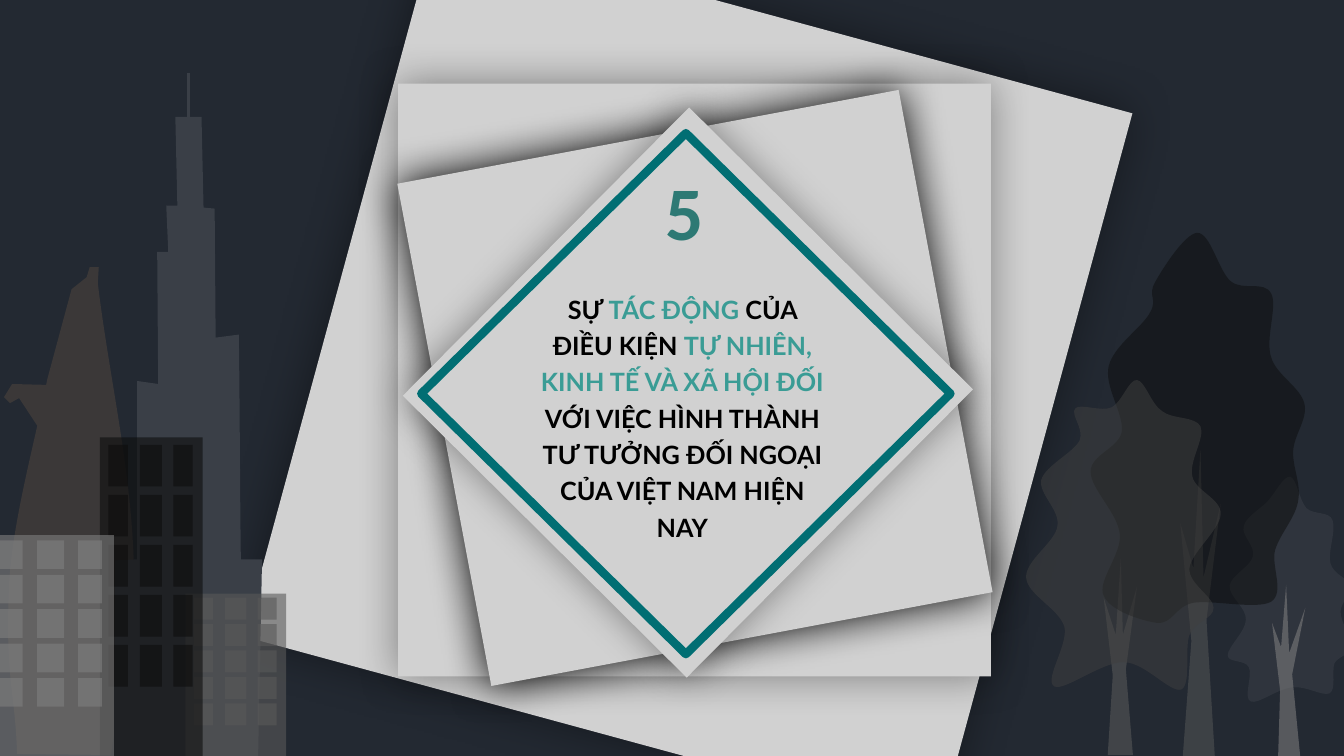
"""Build the title slide of section 5: stacked square panels between a skyline and trees."""
from dataclasses import dataclass

from lxml import etree
from pptx import Presentation
from pptx import util as u
from pptx.dml.color import RGBColor
from pptx.enum import shapes, text
from pptx.oxml.ns import qn


@dataclass(frozen=True)
class Theme:
    """Colours, fonts and type sizes of the slide."""
    night: str = "232932"
    panel: str = "D1D1D1"
    shadow: str = "000000"
    frame: str = "016E73"
    ink: str = "000000"
    accent: str = "3A9C95"
    numeral: str = "2D7974"
    bronze: str = "3B3838"
    slate: str = "3A3F47"
    black: str = "0D0D0D"
    charcoal: str = "404040"
    dim: str = "595959"
    trunk: str = "5C5C5C"
    grey: str = "7F7F7F"
    body_font: str = "Lato"
    number_font: str = "Calibri"
    body_size: int = 18
    number_size: int = 54


THEME = Theme()
OUTLINE_UNIT = u.Pt(0.72)
WINDOW_COLUMNS = ((0.085, 0.19), (0.39, 0.215), (0.715, 0.19))
WINDOW_ROWS = 5
WINDOW_TOP, WINDOW_STEP, WINDOW_HEIGHT = 0.023, 0.156, 0.13

LOTUS_TOWER = """M 9 581 C 5 675 15 685 17 748 L 110 749 C 118 692 134 635 133 578
C 133 476 109 380 97 281 L 98 265 L 89 265 L 86 275 L 71 287 L 47 376 C 35 437 12 518 9 581"""
HELIPAD = "M 50 382 L 12 381 L 4 394 L 10 400 L 19 395 L 40 427 L 50 382"
SKYSCRAPER = """M 260 555 L 256 756 L 113 756 L 114 556 L 136 555 L 136 378 L 157 381 L 156 250
L 167 250 L 165 204 L 176 204 L 174 116 L 200 116 L 202 206 L 213 207 L 214 335 L 237 332
C 238 406 238 481 239 555 L 260 555"""
LEFT_TRUNK = """M 1124 749 L 1117 664 L 1128 582 L 1114 630 L 1112 554 L 1107 630 L 1095 593
L 1104 670 L 1099 749 L 1124 749"""
RIGHT_CROWN = """M 1282 682 C 1295 680 1312 691 1319 688 C 1326 684 1321 666 1324 658
C 1328 651 1339 650 1340 642 C 1341 633 1330 617 1330 607 C 1330 597 1342 589 1340 581
C 1338 574 1323 570 1320 559 C 1317 548 1326 526 1322 516 C 1319 507 1303 511 1296 504
C 1289 496 1286 474 1280 473 C 1273 472 1265 490 1257 498 C 1249 506 1236 513 1234 522
C 1231 531 1246 542 1243 552 C 1241 562 1221 571 1220 581 C 1219 592 1237 603 1236 615
C 1236 626 1218 642 1218 650 C 1218 658 1235 654 1239 662 C 1243 670 1233 693 1241 696
C 1248 699 1268 683 1282 682"""
RIGHT_TRUNK = """M 1290 751 L 1282 669 L 1295 603 L 1279 648 L 1276 580 L 1271 642 L 1262 618
L 1270 685 L 1268 752 L 1290 751"""
TALL_TRUNK = """M 1206 763 L 1197 615 L 1211 500 L 1194 573 L 1191 446 L 1184 564 L 1171 519
L 1182 636 L 1173 757 L 1206 763"""
TALL_CROWN = """M 1184 598 C 1203 595 1247 605 1261 597 C 1275 588 1261 562 1265 546
C 1270 529 1286 513 1288 496 C 1291 480 1282 463 1283 447 C 1284 431 1298 415 1294 400
C 1290 384 1266 372 1261 354 C 1255 336 1268 303 1261 291 C 1254 278 1233 289 1221 279
C 1209 269 1201 231 1188 231 C 1176 231 1153 267 1146 280 C 1138 294 1149 296 1141 310
C 1134 324 1105 343 1100 363 C 1095 383 1115 410 1113 428 C 1110 445 1082 451 1082 468
C 1082 485 1109 509 1111 530 C 1113 550 1088 577 1095 591 C 1101 606 1133 616 1148 618
C 1164 619 1165 602 1184 598"""
LEFT_CROWN = """M 1115 657 C 1136 657 1161 688 1172 684 C 1182 679 1175 643 1180 630
C 1186 616 1204 614 1204 603 C 1204 592 1179 579 1180 564 C 1181 549 1211 525 1211 510
C 1212 495 1186 487 1183 473 C 1179 458 1196 434 1191 423 C 1186 413 1163 416 1153 408
C 1142 401 1136 378 1128 377 C 1120 376 1113 399 1103 404 C 1093 409 1072 400 1067 405
C 1061 411 1076 425 1071 437 C 1065 449 1037 462 1033 476 C 1030 490 1052 506 1049 522
C 1047 538 1017 556 1018 573 C 1019 590 1051 604 1056 622 C 1060 640 1035 675 1046 681
C 1056 686 1094 656 1115 657"""


def paint(shape, color, opacity=100):
    """Give a shape a plain fill with no line and no shadow."""
    shape.shadow.inherit = False
    shape.line.fill.background()
    shape.fill.solid()
    shape.fill.fore_color.rgb = RGBColor.from_string(color)
    if opacity < 100:
        tone = next(shape.element.spPr.iter(qn("a:srgbClr")))
        etree.SubElement(tone, qn("a:alpha"), val=str(opacity * 1000))


def add_block(slide, left, top, width, height, color, opacity=100):
    """Add a plain filled rectangle."""
    block = slide.shapes.add_shape(
        shapes.MSO_SHAPE.RECTANGLE, u.Pt(left), u.Pt(top), u.Pt(width), u.Pt(height))
    paint(block, color, opacity)
    return block


def add_panel(slide, left, top, width, height, rotation, blur, shade):
    """Add a turned light panel with a soft shadow all round."""
    panel = add_block(slide, left, top, width, height, THEME.panel)
    panel.rotation = rotation
    effects = panel.element.spPr.find(qn("a:effectLst"))
    shadow = etree.SubElement(effects, qn("a:outerShdw"), blurRad=str(u.Pt(blur)),
                              dist="0", dir="0", algn="ctr", rotWithShape="0")
    tone = etree.SubElement(shadow, qn("a:srgbClr"), val=THEME.shadow)
    etree.SubElement(tone, qn("a:alpha"), val=str(shade * 1000))


def add_frame(slide, left, top, width, height):
    """Add the outlined diamond round the text."""
    frame = slide.shapes.add_shape(
        shapes.MSO_SHAPE.DIAMOND, u.Pt(left), u.Pt(top), u.Pt(width), u.Pt(height))
    frame.rotation = 90
    frame.shadow.inherit = False
    frame.fill.background()
    frame.line.color.rgb = RGBColor.from_string(THEME.frame)
    frame.line.width = u.Pt(6)


def add_text(slide, runs, *, left, top, width, height, font, size,
             align=None, line_spacing=None, space_after=None):
    """Add a bold text box from pairs of wording and colour."""
    box = slide.shapes.add_textbox(u.Pt(left), u.Pt(top), u.Pt(width), u.Pt(height))
    box.text_frame.word_wrap = True
    box.text_frame.auto_size = text.MSO_AUTO_SIZE.SHAPE_TO_FIT_TEXT
    paragraph = box.text_frame.paragraphs[0]
    paragraph.alignment = align
    paragraph.line_spacing = line_spacing
    paragraph.space_after = space_after
    for wording, color in runs:
        run = paragraph.add_run()
        run.text = wording
        run.font.name = font
        run.font.size = u.Pt(size)
        run.font.bold = True
        run.font.color.rgb = RGBColor.from_string(color)


def add_outline(slide, outline, color, opacity=100):
    """Add a closed outline of straight (L) and curved (C) segments."""
    tokens = outline.split()
    letters = [token for token in tokens if token.isalpha()]
    numbers = [int(token) for token in tokens if not token.isalpha()]
    points = list(zip(numbers[::2], numbers[1::2]))
    builder = slide.shapes.build_freeform(*points[0], scale=OUTLINE_UNIT)
    builder.add_line_segments(points[1:], close=True)
    shape = builder.convert_to_shape()
    path = next(shape.element.iter(qn("a:path")))
    segments = iter(path.findall(qn("a:lnTo")))
    for letter in letters[1:]:
        segment = next(segments)
        if letter == "C":
            segment.tag = qn("a:cubicBezTo")
            for extra in (next(segments), next(segments)):
                segment.append(extra[0])
                path.remove(extra)
    paint(shape, color, opacity)


def add_antenna(slide, x, top, bottom):
    """Add the mast on the skyscraper."""
    antenna = slide.shapes.add_connector(
        shapes.MSO_CONNECTOR.STRAIGHT, u.Pt(x), u.Pt(top), u.Pt(x), u.Pt(bottom))
    antenna.line.color.rgb = RGBColor.from_string(THEME.slate)
    antenna.line.width = u.Pt(2.25)
    etree.SubElement(antenna.element.spPr, qn("a:effectLst"))


def add_building(slide, left, top, width, height, color):
    """Add a see-through building with a grid of windows in proportion to it."""
    add_block(slide, left, top, width, height, color, 60)
    for row in range(WINDOW_ROWS):
        window_top = top + height * (WINDOW_TOP + row * WINDOW_STEP)
        for offset, share in WINDOW_COLUMNS:
            add_block(slide, left + width * offset, window_top,
                      width * share, height * WINDOW_HEIGHT, color, 60)


def main():
    """Build and save the slide."""
    presentation = Presentation()
    presentation.slide_width, presentation.slide_height = u.Pt(960), u.Pt(540)
    slide = presentation.slides.add_slide(presentation.slide_layouts[6])
    slide.background.fill.solid()
    slide.background.fill.fore_color.rgb = RGBColor.from_string(THEME.night)

    add_panel(slide, 234, 4.3, 514.8, 527, rotation=15.2, blur=34, shade=40)
    add_panel(slide, 284.4, 59.8, 423.4, 423.4, rotation=0, blur=30, shade=40)
    add_panel(slide, 313.9, 95, 365, 364.3, rotation=79.4, blur=30, shade=100)
    add_panel(slide, 346.3, 137.5, 290.2, 285.8, rotation=314.8, blur=28, shade=40)
    add_frame(slide, 303.8, 92.2, 372.2, 378)
    title = (("SỰ ", THEME.ink), ("TÁC ĐỘNG ", THEME.accent), ("CỦA ĐIỀU KIỆN ", THEME.ink),
             ("TỰ NHIÊN, KINH TẾ VÀ XÃ HỘI ĐỐI", THEME.accent),
             (" VỚI VIỆC HÌNH THÀNH TƯ TƯỞNG ĐỐI NGOẠI CỦA VIỆT NAM HIỆN NAY", THEME.ink))
    add_text(slide, title, left=375.1, top=202.3, width=224.6, height=187.9,
             font=THEME.body_font, size=THEME.body_size, align=text.PP_ALIGN.CENTER,
             line_spacing=1.2, space_after=u.Pt(6))
    add_text(slide, [("5", THEME.numeral)], left=468, top=114.5, width=46.1, height=72.7,
             font=THEME.number_font, size=THEME.number_size)

    add_outline(slide, LOTUS_TOWER, THEME.bronze)
    add_outline(slide, HELIPAD, THEME.bronze)
    add_outline(slide, SKYSCRAPER, THEME.slate)
    add_antenna(slide, 134.6, 51.8, 83.5)
    add_building(slide, 132.5, 424.1, 72, 121, THEME.dim)
    add_building(slide, 71.3, 312.5, 73.4, 229, THEME.black)
    add_building(slide, -8.6, 382.3, 90, 157.7, THEME.grey)

    add_outline(slide, LEFT_TRUNK, THEME.trunk, 54)
    add_outline(slide, RIGHT_CROWN, THEME.slate, 54)
    add_outline(slide, RIGHT_TRUNK, THEME.grey, 57)
    add_outline(slide, TALL_TRUNK, THEME.trunk, 47)
    add_outline(slide, TALL_CROWN, THEME.black, 50)
    add_outline(slide, LEFT_CROWN, THEME.charcoal, 51)
    presentation.save("out.pptx")


if __name__ == "__main__":
    main()
